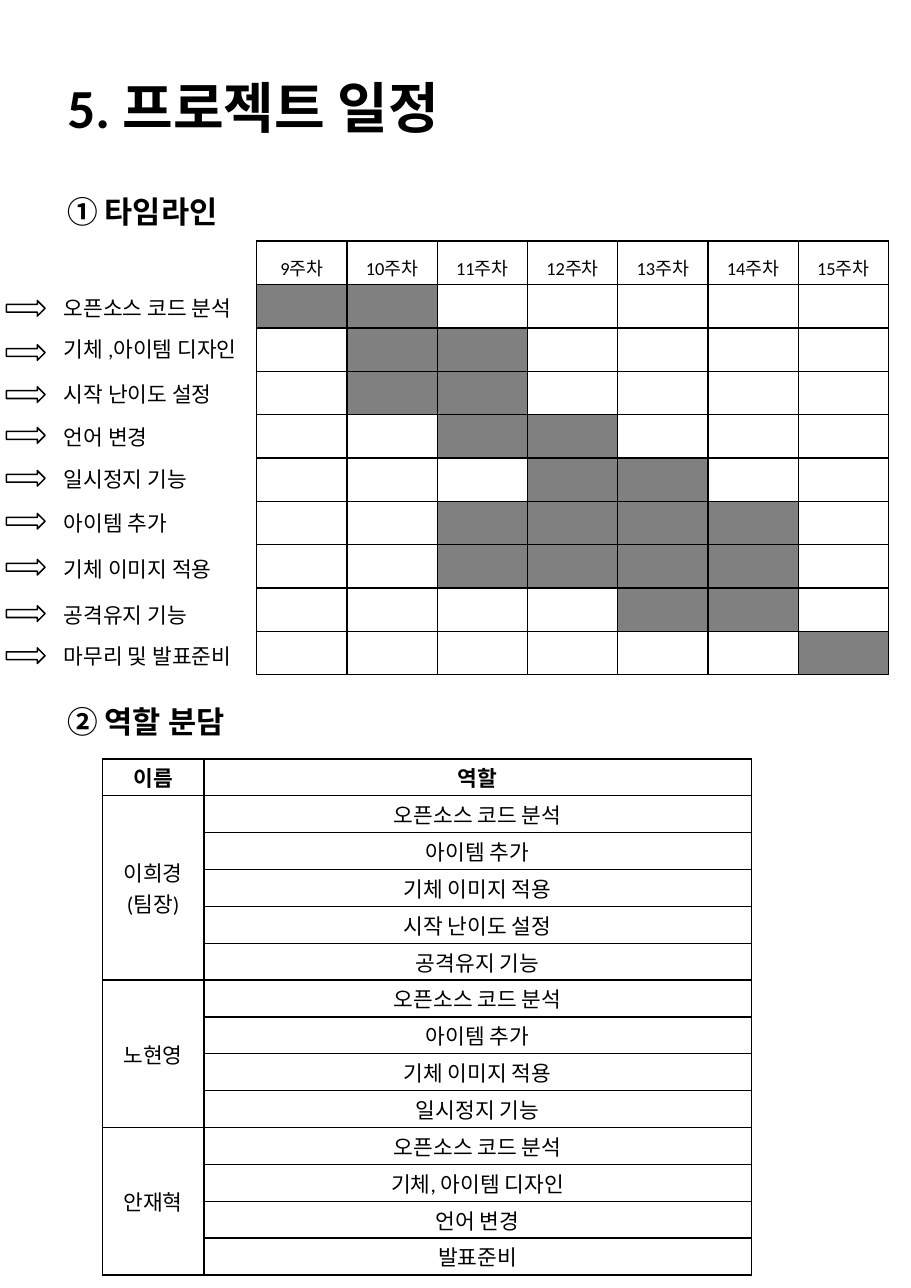
from lxml import etree
from pptx import Presentation
from pptx.dml.color import RGBColor
from pptx.enum.shapes import MSO_SHAPE
from pptx.enum.text import MSO_ANCHOR, MSO_AUTO_SIZE, PP_ALIGN
from pptx.oxml.ns import qn
from pptx.util import Cm, Pt

ARROW = MSO_SHAPE.RIGHT_ARROW
LEFT, CENTER = PP_ALIGN.LEFT, PP_ALIGN.CENTER
TOP, MIDDLE, BOTTOM = MSO_ANCHOR.TOP, MSO_ANCHOR.MIDDLE, MSO_ANCHOR.BOTTOM
GROW = MSO_AUTO_SIZE.SHAPE_TO_FIT_TEXT
BLACK, GRAY = "000000", "808080"


def tint(fill, hue):
    fill.solid()
    fill.fore_color.rgb = RGBColor.from_string(hue)


def write(frame, text, size, bold=False, align=LEFT, face="Calibri"):
    frame.text = text
    for par in frame.paragraphs:
        par.alignment = align
        par.font.name = face
        par.font.size = Pt(size)
        par.font.bold = bold
        tint(par.font.fill, BLACK)


deck = Presentation()
deck.slide_width, deck.slide_height = Cm(21), Cm(29.7)
slide = deck.slides.add_slide(deck.slide_layouts[5])
shapes = slide.shapes

# Title
title = shapes.title
title.left, title.top = Cm(1.3), Cm(1.57)
title.width, title.height = Cm(11.13), Cm(1.8)
write(title.text_frame, "5. 프로젝트 일정", 36, bold=True)
title.text_frame.vertical_anchor = TOP
title.text_frame.auto_size = GROW

# Section headings
for text, top in (("① 타임라인", 4.32), ("② 역할 분담", 16.08)):
    box = shapes.add_textbox(Cm(1.3), Cm(top), Cm(18.97), Cm(1.11))
    box.text_frame.word_wrap = True
    write(box.text_frame, text, 20, bold=True, face="Arial")

# Tasks: name, label top, label width, arrow top, first and last week
tasks = [
    ("오픈소스 코드 분석", 6.68, 4.8, 6.93, 9, 10),
    ("기체 ,아이템 디자인", 7.62, 5.28, 7.95, 10, 11),
    ("시작 난이도 설정", 8.66, 4.8, 8.92, 10, 11),
    ("언어 변경", 9.65, 4.8, 9.86, 11, 12),
    ("일시정지 기능", 10.62, 4.8, 10.85, 12, 13),
    ("아이템 추가", 11.63, 4.8, 11.84, 11, 14),
    ("기체 이미지 적용", 12.7, 4.8, 12.9, 11, 14),
    ("공격유지 기능", 13.77, 6.63, 13.97, 13, 14),
    ("마무리 및 발표준비", 14.71, 4.8, 14.94, 15, 15),
]
weeks = range(9, 16)

# Timeline grid
plan = shapes.add_table(len(tasks) + 1, len(weeks), Cm(5.92), Cm(5.56),
                        Cm(14.56), Cm(10)).table
for col in plan.columns:
    col.width = Cm(2.08)
for cell in plan.iter_cells():
    cell.fill.background()
    cell.vertical_anchor = BOTTOM
    write(cell.text_frame, "", 12)
for c, week in enumerate(weeks):
    write(plan.cell(0, c).text_frame, f"{week}주차", 12, align=CENTER)
    for r, task in enumerate(tasks, 1):
        if task[4] <= week <= task[5]:
            tint(plan.cell(r, c).fill, GRAY)

# Task labels and arrows
for name, top, width, tip, *span in tasks:
    box = shapes.add_textbox(Cm(1.22), Cm(top), Cm(width), Cm(0.86))
    box.text_frame.word_wrap = True
    write(box.text_frame, name, 14)
    arrow = shapes.add_shape(ARROW, Cm(0.15), Cm(tip), Cm(0.89), Cm(0.36))
    arrow.shadow.inherit = False
    arrow.fill.background()
    tint(arrow.line.fill, BLACK)
    arrow.line.width = Pt(1)

# Roles by member
members = [
    ("이름", ["역할"]),
    ("이희경\n(팀장)", ["오픈소스 코드 분석", "아이템 추가", "기체 이미지 적용",
                    "시작 난이도 설정", "공격유지 기능"]),
    ("노현영", ["오픈소스 코드 분석", "아이템 추가", "기체 이미지 적용",
             "일시정지 기능"]),
    ("안재혁", ["오픈소스 코드 분석", "기체, 아이템 디자인", "언어 변경",
             "발표준비"]),
]
count = sum(len(jobs) for name, jobs in members)
roles = shapes.add_table(count, 2, Cm(2.36), Cm(17.5),
                         Cm(14.96), Cm(0.85 * count)).table
roles.columns[0].width, roles.columns[1].width = Cm(2.34), Cm(12.62)
for cell in roles.iter_cells():
    cell.fill.background()
    cell.vertical_anchor = MIDDLE
row = 0
for name, jobs in members:
    head = row == 0
    write(roles.cell(row, 0).text_frame, name, 14, head, CENTER)
    for r, job in enumerate(jobs, row):
        write(roles.cell(r, 1).text_frame, job, 14, head, CENTER)
    if len(jobs) > 1:
        roles.cell(row, 0).merge(roles.cell(row + len(jobs) - 1, 0))
    row += len(jobs)

# Cell margins and borders
for table, pad in ((plan, 0.08), (roles, 0.05)):
    table.first_row = table.horz_banding = False
    for cell in table.iter_cells():
        cell.margin_top = cell.margin_bottom = Cm(pad)
        props = cell._tc.get_or_add_tcPr()
        for i, side in enumerate(("a:lnL", "a:lnR", "a:lnT", "a:lnB")):
            line = etree.Element(qn(side), w=str(Pt(1)))
            fill = etree.SubElement(line, qn("a:solidFill"))
            etree.SubElement(fill, qn("a:srgbClr"), val=BLACK)
            props.insert(i, line)

deck.save("out.pptx")
